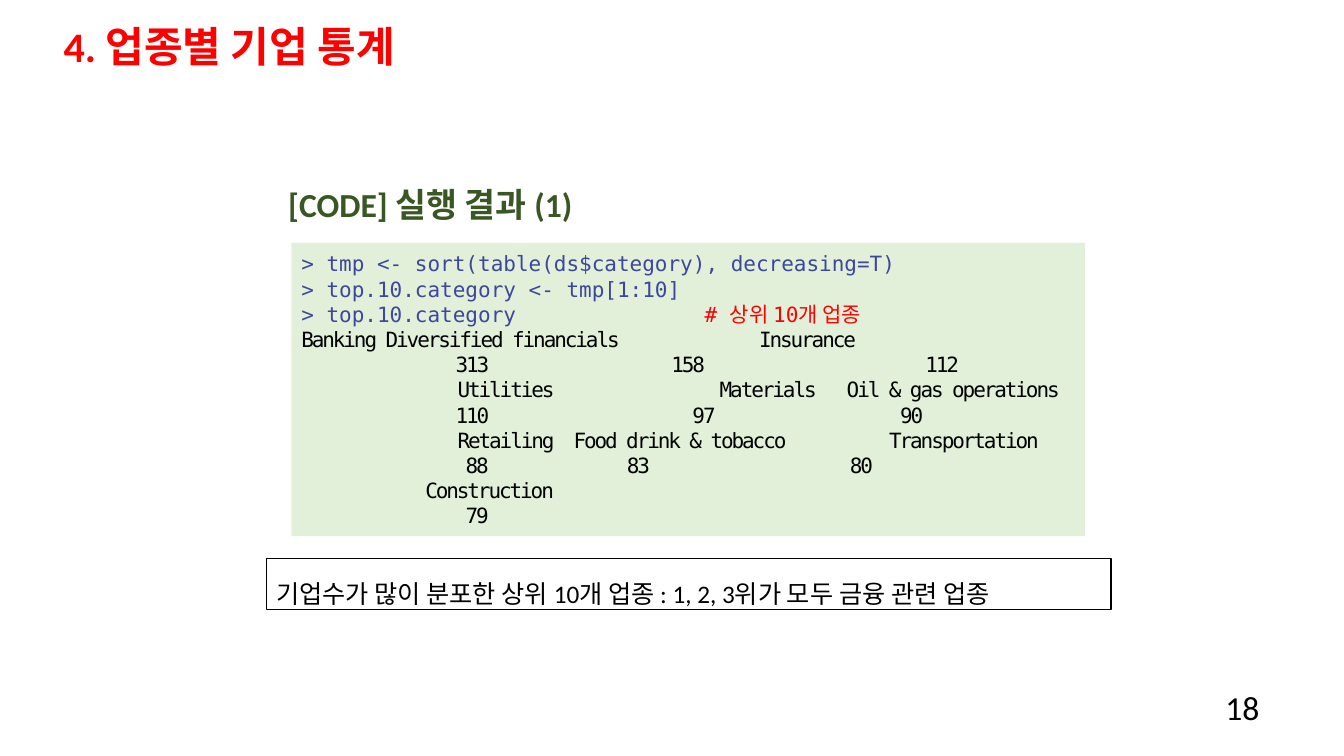
import pptx
import pptx.util
import pptx.dml.color
import pptx.enum.shapes
import pptx.enum.text
import lxml.etree

Inches = pptx.util.Inches
ALIGN = pptx.enum.text.PP_ALIGN
ANCHOR = pptx.enum.text.MSO_ANCHOR

COLORS = {
    "title": "FF0000",
    "heading": "385723",
    "panel": "E2F0D9",
    "command": "3C479D",
    "comment": "FF0000",
    "text": "000000",
    "white": "FFFFFF",
}
BODY_FONT = "Calibri"
CODE_FORMAT = {"name": "DejaVu Sans Mono", "size": pptx.util.Pt(15)}

COMMANDS = [
    ("> tmp <- sort(table(ds$category), decreasing=T)", ""),
    ("> top.10.category <- tmp[1:10]", ""),
    ("> top.10.category", "\t# 상위 10개 업종"),
]
COMMENT_TAB = 4.0

# Each output line: text at the margin, then (tab stop in inches, text)
OUTPUT = [
    ("Banking Diversified financials", [(4.54, "Insurance")]),
    ("", [(1.53, "313"), (3.67, "158"), (6.19, "112")]),
    ("", [(1.55, "Utilities"), (4.15, "Materials"), (5.41, "Oil & gas operations")]),
    ("", [(1.53, "110"), (3.88, "97"), (5.94, "90")]),
    ("", [(1.55, "Retailing"), (2.7, "Food drink & tobacco"), (5.83, "Transportation")]),
    ("", [(1.63, "88"), (3.23, "83"), (5.44, "80")]),
    ("", [(1.23, "Construction")]),
    ("", [(1.63, "79")]),
]


def rgb(name):
    return pptx.dml.color.RGBColor.from_string(COLORS[name])


def apply_format(target, values):
    for name, value in values.items():
        setattr(target, name, value)


def add_run(paragraph, text, color, font_format):
    run = paragraph.add_run()
    run.text = text
    apply_format(run.font, font_format)
    run.font.color.rgb = rgb(color)
    return run


def set_tab_stops(paragraph, stops):
    properties = paragraph._p.get_or_add_pPr()
    namespace = "{%s}" % properties.nsmap["a"]
    tab_list = lxml.etree.SubElement(properties, namespace + "tabLst")
    for stop in stops:
        lxml.etree.SubElement(tab_list, namespace + "tab",
                              pos=str(Inches(stop)), algn="l")


def write_line(shape, text, color, size, bold=False, **paragraph_format):
    paragraph = shape.text_frame.paragraphs[0]
    apply_format(paragraph, paragraph_format)
    add_run(paragraph, text, color,
            {"name": BODY_FONT, "size": pptx.util.Pt(size), "bold": bold})
    return paragraph


def add_title(slide, text):
    title = slide.shapes.title
    apply_format(title, {"left": Inches(0.53), "top": Inches(0.12),
                         "width": Inches(12.34), "height": Inches(0.73)})
    title.text_frame.vertical_anchor = ANCHOR.MIDDLE
    write_line(title, text, "title", 30, True,
               alignment=ALIGN.LEFT, line_spacing=0.9)


def add_text_box(slide, box, anchor):
    shape = slide.shapes.add_textbox(*map(Inches, box))
    apply_format(shape.text_frame, {"word_wrap": True, "vertical_anchor": anchor})
    return shape


def add_panel(slide, box, fill, anchor, line=None):
    shape = slide.shapes.add_shape(
        pptx.enum.shapes.MSO_SHAPE.RECTANGLE, *map(Inches, box))
    shape.shadow.inherit = False
    shape.fill.solid()
    shape.fill.fore_color.rgb = rgb(fill)
    if line:
        shape.line.color.rgb = rgb(line)
        shape.line.width = pptx.util.Pt(1)
    else:
        shape.line.fill.background()
    apply_format(shape.text_frame, {"word_wrap": True, "vertical_anchor": anchor})
    return shape


def fill_console(panel):
    frame = panel.text_frame
    for index in range(len(COMMANDS) + len(OUTPUT)):
        paragraph = frame.add_paragraph() if index else frame.paragraphs[0]
        paragraph.alignment = ALIGN.LEFT
        if index < len(COMMANDS):
            command, comment = COMMANDS[index]
            add_run(paragraph, command, "command", CODE_FORMAT)
            if comment:
                set_tab_stops(paragraph, [COMMENT_TAB])
                add_run(paragraph, comment, "comment", CODE_FORMAT)
        else:
            start, cells = OUTPUT[index - len(COMMANDS)]
            set_tab_stops(paragraph, [stop for stop, _ in cells])
            text = "\t".join([start] + [value for _, value in cells])
            run = add_run(paragraph, text, "text", CODE_FORMAT)
            # Condensed by 1.5 points
            run.font._element.set("spc", "-150")


def main():
    presentation = pptx.Presentation()
    presentation.slide_width = Inches(13.33)
    presentation.slide_height = Inches(7.5)
    slide = presentation.slides.add_slide(presentation.slide_layouts[5])

    add_title(slide, "4. 업종별 기업 통계")

    # Console listing
    console = add_panel(slide, (2.89, 2.41, 7.87, 2.91), "panel", ANCHOR.MIDDLE)
    fill_console(console)

    # Slide number
    number = add_text_box(slide, (11.79, 6.81, 0.8, 0.4), ANCHOR.MIDDLE)
    write_line(number, "18", "text", 24, alignment=ALIGN.RIGHT)

    # Conclusion
    conclusion = add_panel(slide, (2.64, 5.54, 8.38, 0.51), "white",
                           ANCHOR.TOP, "text")
    write_line(conclusion,
               "기업수가 많이 분포한 상위 10개 업종 : 1, 2, 3위가 모두 금융 관련 업종",
               "text", 18, alignment=ALIGN.LEFT, line_spacing=1.5)

    # Listing heading
    heading = add_text_box(slide, (2.27, 1.58, 6.66, 1.25), ANCHOR.TOP)
    paragraph = write_line(heading, "[CODE] 실행 결과 (1)", "heading", 24, True,
                           line_spacing=1.5)
    paragraph._p.get_or_add_pPr().set("marL", str(Inches(0.49)))

    presentation.save("out.pptx")


if __name__ == "__main__":
    main()
